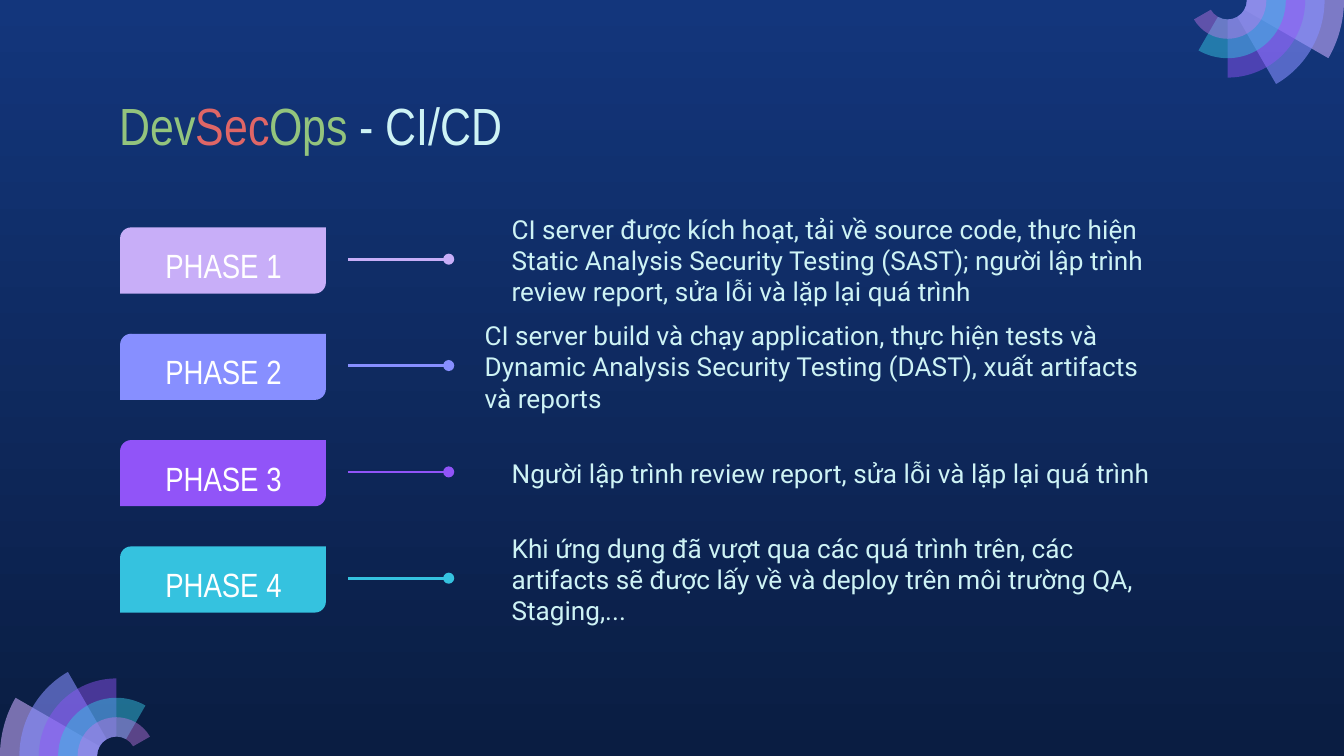
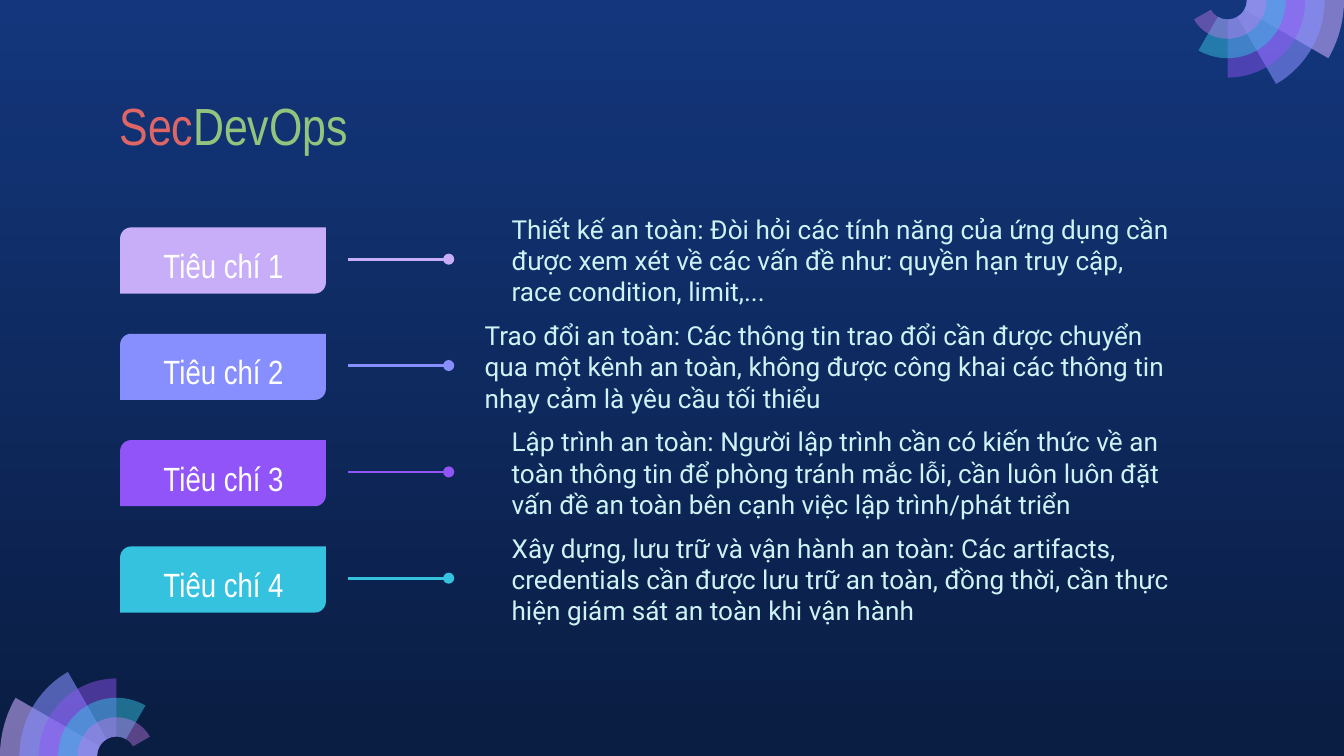
from math import cos, radians, sin

from lxml import etree
from pptx import Presentation
from pptx.dml.color import RGBColor
from pptx.enum import shapes, text
from pptx.oxml.ns import qn
from pptx.util import Cm, Pt

NIGHT, NAVY = RGBColor(0x13, 0x36, 0x7C), RGBColor(0x0A, 0x1D, 0x42)
LILAC, MAUVE = RGBColor(0xC8, 0xAE, 0xF8), RGBColor(0xC8, 0xAC, 0xFD)
BLUE, PURPLE = RGBColor(0x87, 0x8F, 0xFF), RGBColor(0x91, 0x54, 0xF8)
CYAN, PINK = RGBColor(0x35, 0xC2, 0xDF), RGBColor(0xCA, 0x7B, 0xEB)
GREEN, RED = RGBColor(0x93, 0xC4, 0x7D), RGBColor(0xE0, 0x66, 0x66)
PALE, WHITE = RGBColor(0xCE, 0xF3, 0xF5), RGBColor(0xFF, 0xFF, 0xFF)

WIDTH, HEIGHT = 25.4, 14.29
HEAD, BODY = "Arial Narrow", "Roboto"
ROWS = [LILAC, BLUE, PURPLE, CYAN]
RINGS = [(MAUVE, 58), (BLUE, 58), (PURPLE, 46), (CYAN, 49), (PINK, 42)]
FAN = 2.2
HOLE = FAN / 6  # also the step from ring to ring
TOP, STEP = 4.3, 2.01


class Deck:
    """Holds the presentation, its style and the current slide."""

    def __init__(self):
        self.prs = Presentation()
        self.prs.slide_width, self.prs.slide_height = Cm(WIDTH), Cm(HEIGHT)

    def start(self):
        self.slide = self.prs.slides.add_slide(self.prs.slide_layouts[6])
        self.items = self.slide.shapes
        fill = self.slide.background.fill
        fill.gradient()
        fill.gradient_angle = 270
        for stop, color in zip(fill.gradient_stops, (NIGHT, NAVY)):
            stop.color.rgb = color
        self.fan()
        twin = self.fan()
        twin.rotation = 180
        twin.left, twin.top = Cm(WIDTH) - twin.width, 0

    def paint(self, shape, color, alpha=100):
        shape.shadow.inherit = False
        shape.line.fill.background()
        shape.fill.solid()
        shape.fill.fore_color.rgb = color
        if alpha < 100:
            node = shape.element.spPr.find(".//" + qn("a:srgbClr"))
            etree.SubElement(node, qn("a:alpha"), val=str(alpha * 1000))

    def sector(self, radius, end):
        """Draw a ring sector from 180 degrees to end, with true arcs."""
        stops = [180, 90, end] if end < 90 else [180, end]
        outer = [(radius, a) for a in stops]
        spots = outer + [(HOLE, a) for a in reversed(stops)]
        dots = [(Cm(FAN + r * cos(radians(a))),
                 Cm(HEIGHT - r * sin(radians(a)))) for r, a in spots]
        build = self.items.build_freeform(*dots[0])
        build.add_line_segments(dots[1:], close=True)
        shape = build.convert_to_shape()
        lines = shape.element.spPr.findall(".//" + qn("a:lnTo"))
        for line, (r, a), (size, b) in zip(lines, spots, spots[1:]):
            if r == size:
                arc = etree.Element(
                    qn("a:arcTo"), wR=str(Cm(r)), hR=str(Cm(r)),
                    stAng=str((360 - a) * 60000), swAng=str((a - b) * 60000))
                line.getparent().replace(line, arc)
        return shape

    def fan(self):
        parts = []
        for i, (color, alpha) in enumerate(RINGS):
            part = self.sector(HOLE * (6 - i), 150 - 30 * i)
            self.paint(part, color, alpha)
            parts.append(part)
        return self.items.add_group_shape(parts)

    def text(self, runs, x, y, w, h, *, size, font, left=0.25, right=0.25,
             align=text.PP_ALIGN.LEFT, anchor=text.MSO_ANCHOR.TOP, after=0):
        """Add a text box from (text, colour) runs."""
        frame = self.items.add_textbox(Cm(x), Cm(y), Cm(w), Cm(h)).text_frame
        frame.word_wrap = True
        frame.vertical_anchor = anchor
        frame.margin_left, frame.margin_right = Cm(left), Cm(right)
        frame.margin_top = frame.margin_bottom = Cm(0.25)
        para = frame.paragraphs[0]
        para.alignment, para.space_after = align, Pt(after)
        for words, color in runs:
            run = para.add_run()
            run.text = words
            run.font.name, run.font.size = font, Pt(size)
            run.font.color.rgb = color

    def title(self, runs):
        self.text(runs, 2.01, 1.51, 21.41, 1.6, size=28, font=HEAD)

    def badge(self, y, color):
        box = self.items.add_shape(
            shapes.MSO_SHAPE.ROUND_2_DIAG_RECTANGLE,
            Cm(2.27), Cm(y), Cm(3.89), Cm(1.25))
        box.adjustments[0], box.adjustments[1] = 0.167, 0
        self.paint(box, color)

    def label(self, words, y):
        self.text([(words, WHITE)], 2.6, y + 0.08, 3.25, 1.09, size=18,
                  font=HEAD, align=text.PP_ALIGN.CENTER, after=16)

    def note(self, words, y, left):
        self.text([(words, PALE)], 8.91, y - 0.2, 14, 1.63, size=14,
                  font=BODY, left=left, right=0.76,
                  anchor=text.MSO_ANCHOR.MIDDLE)

    def pin(self, y, color):
        """Draw a line that ends in a dot."""
        line = self.items.add_connector(
            shapes.MSO_CONNECTOR.STRAIGHT, Cm(6.58), Cm(y), Cm(8.48), Cm(y))
        line.line.color.rgb, line.line.width = color, Pt(1.5)
        props = line.element.spPr
        etree.SubElement(props.find(qn("a:ln")), qn("a:tailEnd"), type="oval")
        etree.SubElement(props, qn("a:effectLst"))

    def page(self, title, label, notes):
        self.start()
        tops = [TOP + i * STEP for i in range(len(ROWS))]
        for y, color in zip(tops, ROWS):
            self.badge(y, color)
        self.title(title)
        for i, y in enumerate(tops, 1):
            self.label(f"{label} {i}", y)
        for words, y, left in zip(notes, tops, (0.76, 0.25, 0.76, 0.76)):
            self.note(words, y, left)
        for y, color in zip(tops, ROWS):
            self.pin(y + 0.6, color)


def main():
    deck = Deck()

    head = [("Dev", GREEN), ("Sec", RED), ("Ops", GREEN), (" - CI/CD", PALE)]
    deck.page(head, "PHASE", [
        "CI server được kích hoạt, tải về source code, thực hiện Static "
        "Analysis Security Testing (SAST); người lập trình review report, "
        "sửa lỗi và lặp lại quá trình",
        "CI server build và chạy application, thực hiện tests và Dynamic "
        "Analysis Security Testing (DAST), xuất artifacts và reports",
        "Người lập trình review report, sửa lỗi và lặp lại quá trình",
        "Khi ứng dụng đã vượt qua các quá trình trên, các artifacts sẽ được "
        "lấy về và deploy trên môi trường QA, Staging,...",
    ])

    deck.page([("Sec", RED), ("DevOps", GREEN)], "Tiêu chí", [
        "Thiết kế an toàn: Đòi hỏi các tính năng của ứng dụng cần được xem "
        "xét về các vấn đề như: quyền hạn truy cập, race condition, limit,...",
        "Trao đổi an toàn: Các thông tin trao đổi cần được chuyển qua một "
        "kênh an toàn, không được công khai các thông tin nhạy cảm là yêu "
        "cầu tối thiểu",
        "Lập trình an toàn: Người lập trình cần có kiến thức về an toàn "
        "thông tin để phòng tránh mắc lỗi, cần luôn luôn đặt vấn đề an toàn "
        "bên cạnh việc lập trình/phát triển",
        "Xây dựng, lưu trữ và vận hành an toàn: Các artifacts, credentials "
        "cần được lưu trữ an toàn, đồng thời, cần thực hiện giám sát an toàn "
        "khi vận hành",
    ])

    deck.prs.save("out.pptx")


if __name__ == "__main__":
    main()
